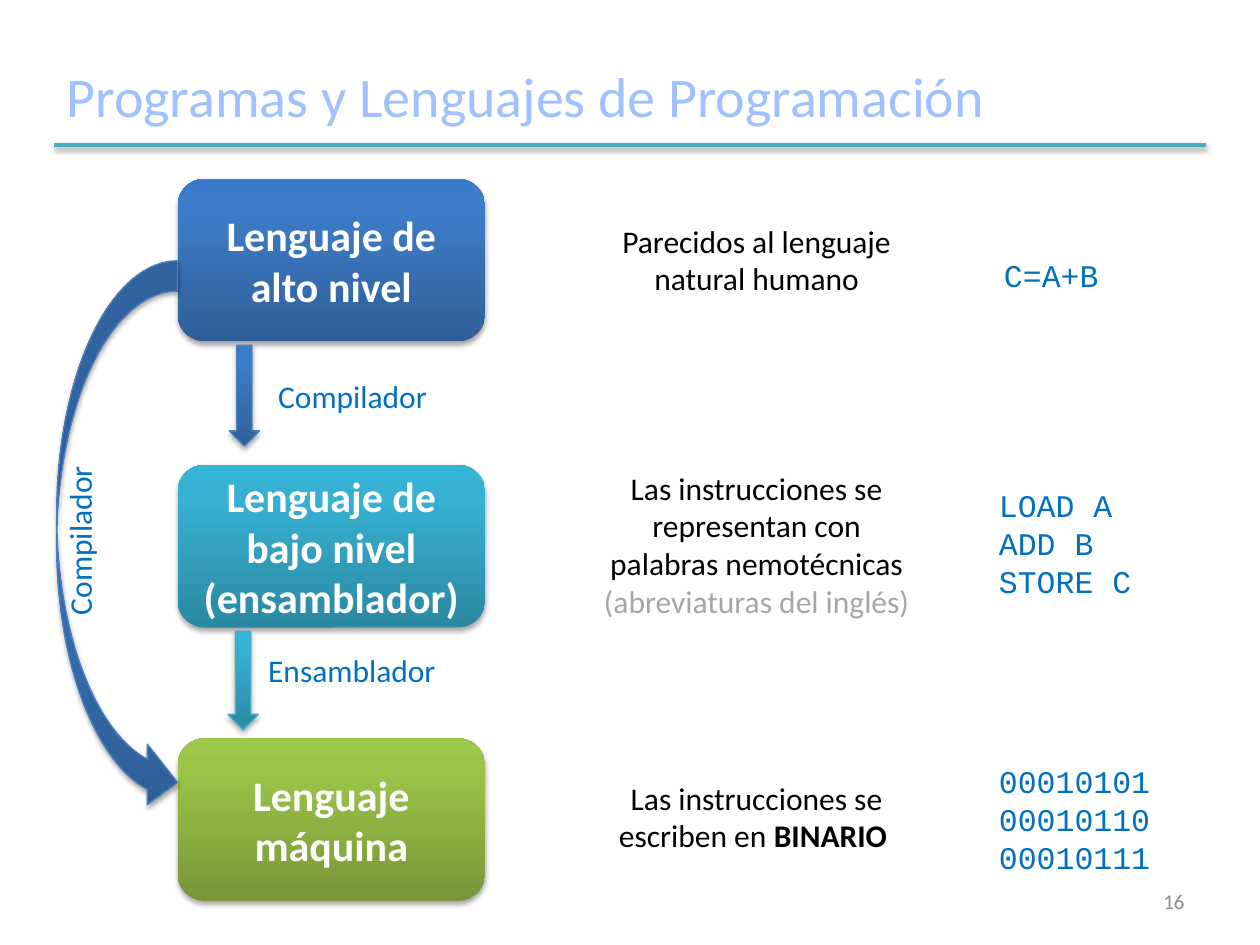
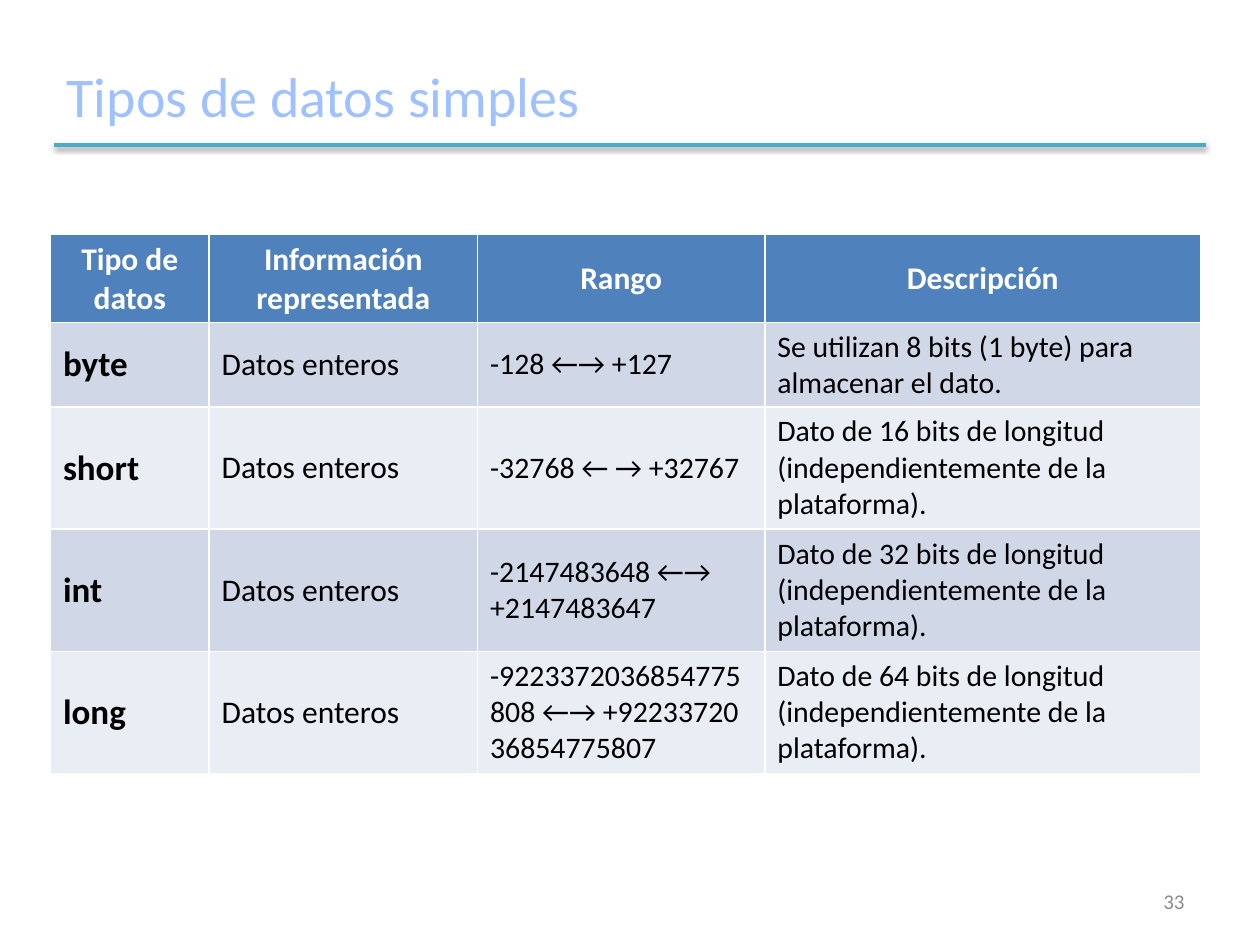
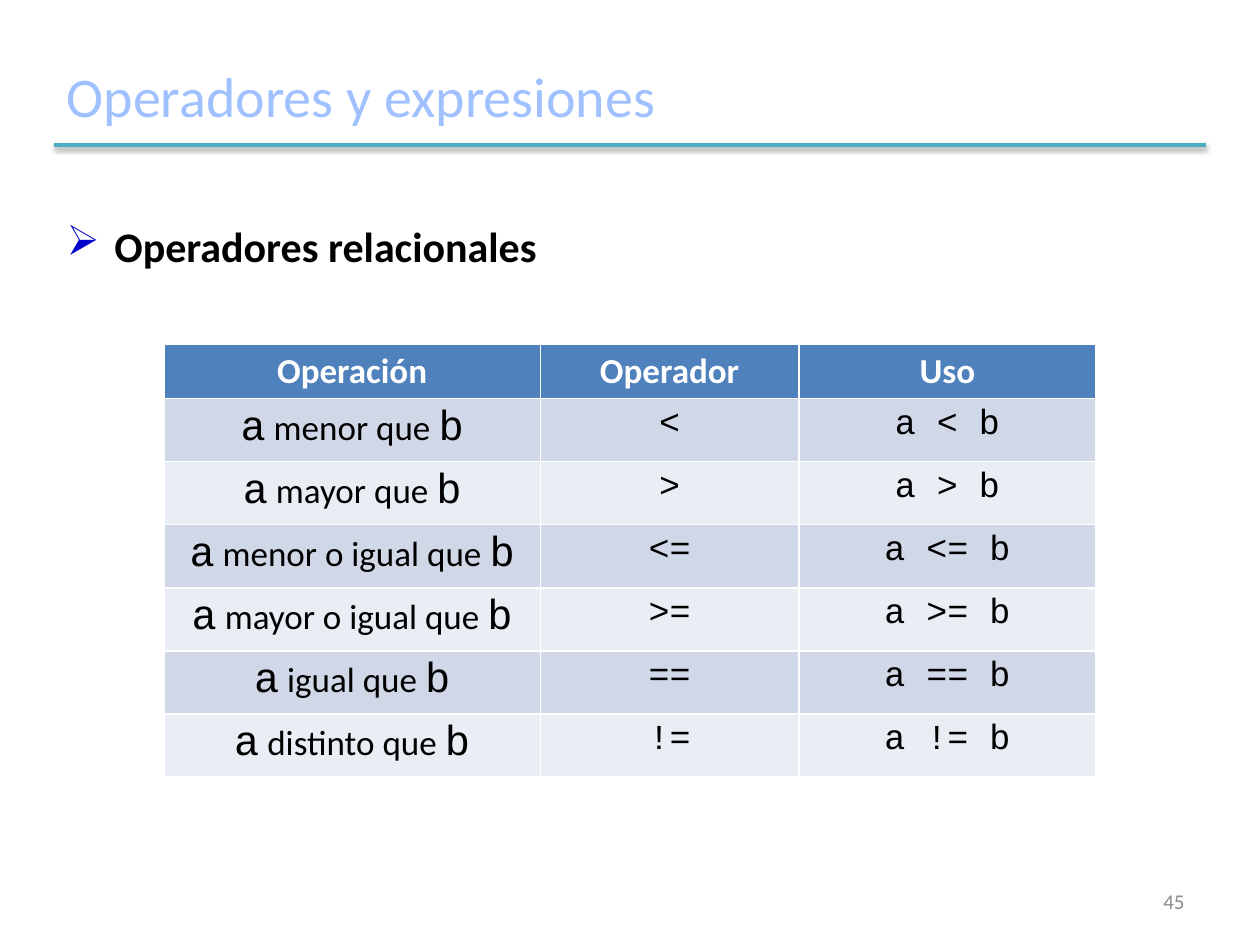
"""Build three lecture slides on programming languages, data types and operators."""
import copy

import pptx
import pptx.dml.color
import pptx.enum.shapes
import pptx.enum.text
import pptx.oxml
import pptx.oxml.ns
import pptx.util

Inches = pptx.util.Inches
Pt = pptx.util.Pt
MSO_SHAPE = pptx.enum.shapes.MSO_SHAPE
ALIGN = pptx.enum.text.PP_ALIGN
ANCHOR = pptx.enum.text.MSO_ANCHOR
qn = pptx.oxml.ns.qn

BODY, CODE = "Calibri", "Courier New"
COLORS = {
    "title": "A0C1FF", "rule": "4BACC6", "page": "8C8C8C", "black": "000000",
    "white": "FFFFFF", "label": "0070C0", "muted": "A6A6A6", "bullet": "0000CC",
    "header": "4F81BD", "band_odd": "D0D8E8", "band_even": "E9EDF4",
    "blue_line": "4B7EBC", "teal_line": "46AAC5",
}
GRADIENTS = {
    "blue": ("2F5F99", "3D7CC7", "3A7CCB"),
    "teal": ("2A88A2", "37B1D2", "34B4D6"),
    "green": ("779737", "9BC348", "9DC746"),
}


def rgb(value):
    """Return the colour for a hex string."""
    return pptx.dml.color.RGBColor.from_string(value)


def style_font(font, size=None, name=None, color=None, bold=None):
    """Set the given properties of a font."""
    if size:
        font.size = Pt(size)
    if name:
        font.name = name
    if color:
        font.color.rgb = rgb(COLORS[color])
    if bold is not None:
        font.bold = bold


def write(tf, paragraphs, size=18, name=BODY, color="black", bold=False, align=ALIGN.LEFT):
    """Fill a text frame; a paragraph is a string or a list of (text, style) runs."""
    for i, content in enumerate(paragraphs):
        p = tf.paragraphs[0] if i == 0 else tf.add_paragraph()
        p.alignment = align
        style_font(p.font, size, name, color, bold)
        runs = [(content, {})] if isinstance(content, str) else content
        for text, style in runs:
            r = p.add_run()
            r.text = text
            if style:
                style_font(r.font, **style)


def add_text(s, box, paragraphs, wrap=True, anchor=ANCHOR.TOP, **style):
    """Add a text box at box = (left, top, width, height)."""
    sp = s.shapes.add_textbox(*map(Inches, box))
    tf = sp.text_frame
    tf.word_wrap = wrap
    tf.vertical_anchor = anchor
    write(tf, paragraphs, **style)
    return sp


def add_shadow(sp, distance=1.8, alpha=35):
    """Give a shape or connector a soft shadow below it."""
    sp_pr = sp._element.spPr
    effects = sp_pr.find(qn("a:effectLst"))
    if effects is None:
        effects = pptx.oxml.parse_xml(f"<a:effectLst {pptx.oxml.ns.nsdecls('a')}/>")
        sp_pr.append(effects)
    effects.append(pptx.oxml.parse_xml(
        f'<a:outerShdw {pptx.oxml.ns.nsdecls("a")} blurRad="{Pt(3.1)}" dist="{Pt(distance)}" '
        f'dir="5400000" rotWithShape="0"><a:srgbClr val="000000">'
        f'<a:alpha val="{alpha * 1000}"/></a:srgbClr></a:outerShdw>'))


def add_gradient_shape(s, kind, box, gradient, line=None):
    """Add a shape with a vertical gradient, dark at the bottom, and a shadow."""
    sp = s.shapes.add_shape(kind, *map(Inches, box))
    sp.fill.gradient()
    sp.fill.gradient_angle = 90
    stops = sp._element.spPr.find(".//" + qn("a:gsLst"))
    stops.append(copy.deepcopy(stops[0]))
    for stop, position, color in zip(sp.fill.gradient_stops, (0, 0.8, 1), GRADIENTS[gradient]):
        stop.position = position
        stop.color.rgb = rgb(color)
    if line:
        sp.line.color.rgb = rgb(COLORS[line])
        sp.line.width = Pt(0.75)
    else:
        sp.line.fill.background()
    sp.shadow.inherit = False
    add_shadow(sp)
    return sp


def add_level(s, top, gradient, text):
    """Add the rounded box of one language level."""
    sp = add_gradient_shape(s, MSO_SHAPE.ROUNDED_RECTANGLE, (1.41, top, 2.44, 1.29), gradient)
    tf = sp.text_frame
    tf.word_wrap = True
    tf.vertical_anchor = ANCHOR.MIDDLE
    write(tf, [text], size=24, color="white", bold=True, align=ALIGN.CENTER)


def add_grid(s, left, top, widths, heights, header, rows, columns, header_size, anchor):
    """Add a banded table; columns holds the text style of each body column."""
    size = map(Inches, (left, top, sum(widths), sum(heights)))
    table = s.shapes.add_table(len(heights), len(widths), *size).table
    for column, width in zip(table.columns, widths):
        column.width = Inches(width)
    for row, height in zip(table.rows, heights):
        row.height = Inches(height)
    header_style = dict(size=header_size, color="white", bold=True, align=ALIGN.CENTER)
    for i, values in enumerate([header, *rows]):
        fill = "header" if i == 0 else "band_odd" if i % 2 else "band_even"
        for j, value in enumerate(values):
            cell = table.cell(i, j)
            cell.fill.solid()
            cell.fill.fore_color.rgb = rgb(COLORS[fill])
            cell.vertical_anchor = anchor
            write(cell.text_frame, [value], **(columns[j] if i else header_style))


def add_slide(prs, title, number):
    """Add a slide with the shared title, rule and page number."""
    s = prs.slides.add_slide(prs.slide_layouts[6])
    add_text(s, (0.43, 0.36, 9.15, 0.79), [title], anchor=ANCHOR.MIDDLE, size=32, color="title")
    rule = s.shapes.add_connector(pptx.enum.shapes.MSO_CONNECTOR.STRAIGHT,
                                  *map(Inches, (0.43, 1.15, 9.57, 1.15)))
    rule.line.color.rgb = rgb(COLORS["rule"])
    rule.line.width = Pt(2)
    add_shadow(rule, distance=1.6, alpha=38)
    add_text(s, (7.17, 6.95, 2.33, 0.4), [str(number)], anchor=ANCHOR.MIDDLE,
             size=12, color="page", align=ALIGN.RIGHT)
    return s


def build_languages(prs):
    """Build the slide on language levels and their translators."""
    s = add_slide(prs, "Programas y Lenguajes de Programación", 16)
    add_level(s, 1.42, "blue", "Lenguaje de alto nivel")
    add_level(s, 3.69, "teal", "Lenguaje de bajo nivel (ensamblador)")
    add_level(s, 5.86, "green", "Lenguaje máquina")

    descriptions = [
        (1.71, 0.71, "Parecidos al lenguaje natural humano"),
        (3.67, 1.31, [("Las instrucciones se representan con palabras nemotécnicas ", {}),
                      ("(abreviaturas del inglés)", {"color": "muted"})]),
        (6.13, 0.71, [("Las instrucciones se escriben en ", {}), ("BINARIO ", {"bold": True})]),
    ]
    for top, height, text in descriptions:
        add_text(s, (4.69, top, 2.63, height), [text], align=ALIGN.CENTER)

    examples = [
        (7.87, 1.98, 0.4, ["C=A+B"]),
        (7.83, 3.81, 1.01, ["LOAD A", "ADD B", "STORE C"]),
        (7.83, 6, 1.01, ["00010101", "00010110", "00010111"]),
    ]
    for left, top, height, lines in examples:
        add_text(s, (left, top, 1.8, height), lines, name=CODE, color="label")

    add_gradient_shape(s, MSO_SHAPE.CURVED_RIGHT_ARROW, (0.45, 2.07, 0.96, 4.38),
                       "blue", "blue_line")
    add_gradient_shape(s, MSO_SHAPE.DOWN_ARROW, (1.82, 2.74, 0.24, 0.8), "blue", "blue_line")
    add_gradient_shape(s, MSO_SHAPE.DOWN_ARROW, (1.81, 5.01, 0.24, 0.78), "teal", "teal_line")
    add_text(s, (2.11, 2.94, 1.4, 0.4), ["Compilador"], wrap=False, color="label")
    add_text(s, (2.03, 5.12, 1.54, 0.4), ["Ensamblador"], wrap=False, color="label")
    side = add_text(s, (0.43, 3.69, 0.5, 1.29), ["Compilador"], wrap=False, color="label")
    side.text_frame._txBody.bodyPr.set("vert", "vert270")


def build_types(prs):
    """Build the slide with the table of integer types."""
    s = add_slide(prs, "Tipos de datos simples", 33)
    length = "Dato de {} bits de longitud (independientemente de la plataforma)."
    types = [
        ("byte", "-128 ←→ +127", "Se utilizan 8 bits (1 byte) para almacenar el dato."),
        ("short", "-32768 ← → +32767", length.format(16)),
        ("int", "-2147483648 ←→ +2147483647", length.format(32)),
        ("long", "-9223372036854775 808 ←→ +92233720 36854775807", length.format(64)),
    ]
    rows = [(name, "Datos enteros", span, text) for name, span, text in types]
    columns = [dict(size=20, bold=True), dict(size=18), dict(size=17), dict(size=17)]
    add_grid(s, 0.4, 1.86, (1.26, 2.13, 2.28, 3.46), (0.7, 0.67, 0.97, 0.97, 0.97),
             ("Tipo de datos", "Información representada", "Rango", "Descripción"),
             rows, columns, 18, ANCHOR.MIDDLE)


def add_bullet(s, box, text):
    """Add a bold line with an arrowhead bullet."""
    sp = add_text(s, box, [text], size=24, bold=True, align=ALIGN.JUSTIFY)
    p = sp.text_frame.paragraphs[0]
    p.space_before = p.space_after = Pt(6)
    p_pr = p._p.get_or_add_pPr()
    p_pr.set("marL", str(Inches(0.38)))
    p_pr.set("indent", str(-Inches(0.38)))
    ns = pptx.oxml.ns.nsdecls("a")
    font = p_pr.find(qn("a:defRPr"))
    font.addprevious(pptx.oxml.parse_xml(
        f'<a:buClr {ns}><a:srgbClr val="{COLORS["bullet"]}"/></a:buClr>'))
    font.addprevious(pptx.oxml.parse_xml(f'<a:buChar {ns} char="➢"/>'))


def build_operators(prs):
    """Build the slide with the table of relational operators."""
    s = add_slide(prs, "Operadores y expresiones", 45)
    add_bullet(s, (0.43, 1.7, 9.13, 0.5), "Operadores relacionales")
    operators = [("menor que", "<"), ("mayor que", ">"), ("menor o igual que", "<="),
                 ("mayor o igual que", ">="), ("igual que", "=="), ("distinto que", "!=")]
    operand = {"size": 24, "name": CODE}
    rows = [([("a", operand), (f" {words} ", {}), ("b", operand)], sign, f"a {sign} b")
            for words, sign in operators]
    code = dict(size=20, name=CODE, align=ALIGN.CENTER)
    columns = [dict(size=20, align=ALIGN.CENTER), code, code]
    add_grid(s, 1.3, 2.73, (2.99, 2.05, 2.36), [0.43] + [0.5] * len(rows),
             ("Operación", "Operador", "Uso"), rows, columns, 20, ANCHOR.TOP)


def main():
    """Build the presentation and save it."""
    prs = pptx.Presentation()
    prs.slide_width, prs.slide_height = Inches(10), Inches(7.5)
    build_languages(prs)
    build_types(prs)
    build_operators(prs)
    prs.save("out.pptx")


if __name__ == "__main__":
    main()
